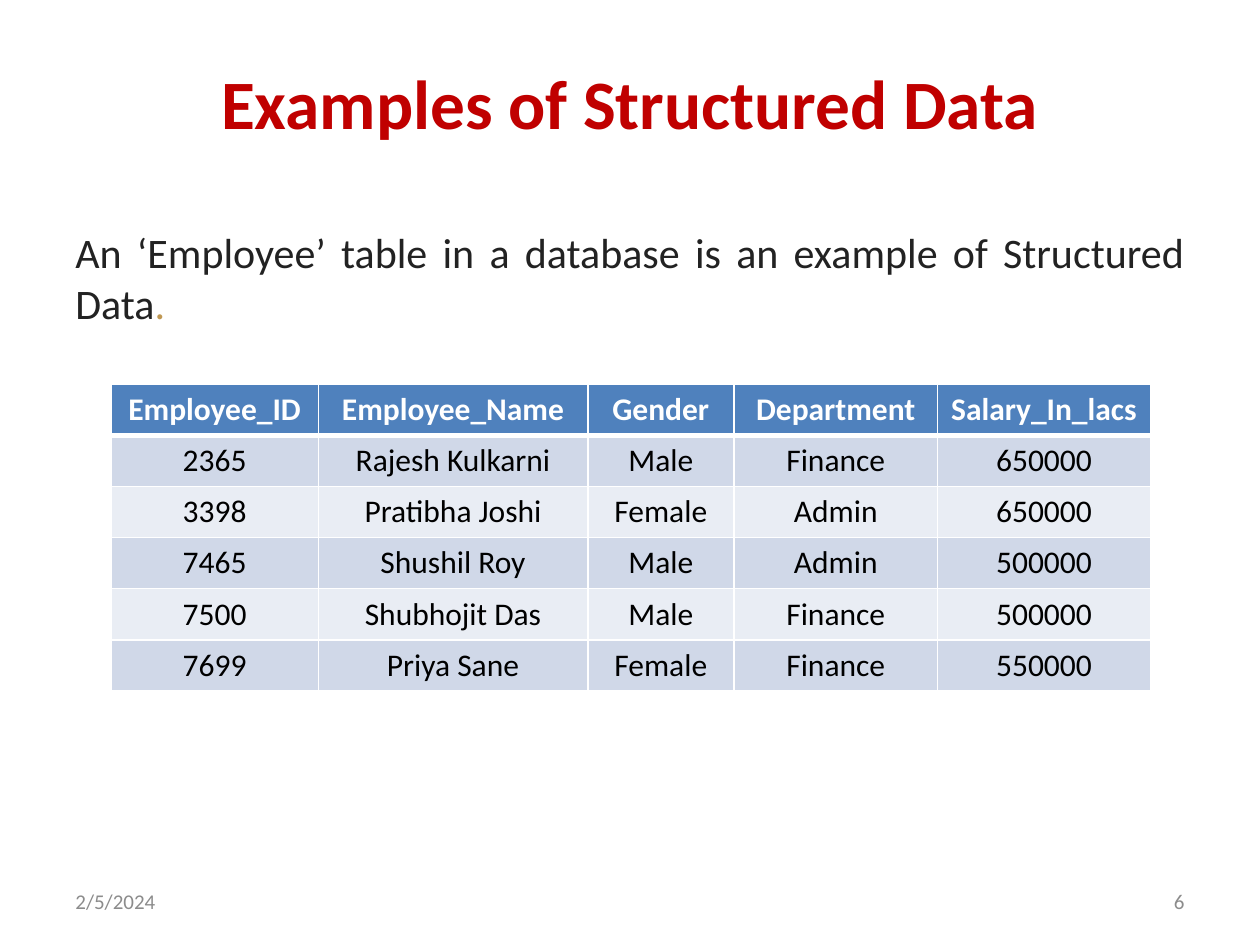
from dataclasses import dataclass

from lxml.etree import SubElement
from pptx import Presentation
from pptx.dml.color import RGBColor
from pptx.enum.text import MSO_ANCHOR as Anchor, PP_ALIGN as Align
from pptx.oxml.ns import qn
from pptx.util import Pt

FONT = "Calibri"
HEADER = ["Employee_ID", "Employee_Name", "Gender", "Department", "Salary_In_lacs"]
EMPLOYEES = [
    ["2365", "Rajesh Kulkarni", "Male", "Finance", "650000"],
    ["3398", "Pratibha Joshi", "Female", "Admin", "650000"],
    ["7465", "Shushil Roy", "Male", "Admin", "500000"],
    ["7500", "Shubhojit Das", "Male", "Finance", "500000"],
    ["7699", "Priya Sane", "Female", "Finance", "550000"],
]
COL_WIDTHS = [118.5, 154, 83.5, 116.5, 121.5]
ROW_HEIGHT = 29.2
BANDS = ["D0D8E8", "E9EDF4"]


@dataclass
class Run:
    text: str
    size: float
    color: str
    bold: bool = False


@dataclass
class Box:
    left: float
    top: float
    width: float
    height: float
    runs: list[Run]
    align: Align = Align.LEFT
    anchor: Anchor = Anchor.MIDDLE


BOXES = [
    Box(36, 13, 648, 90, [Run("Examples of Structured Data", 39.6, "C00000", True)], Align.CENTER),
    Box(36, 126, 648, 356.4, [
        Run("An ‘Employee’ table in a database is an example of Structured Data", 24, "222222"),
        Run(".", 24, "C09853"),
    ], Align.JUSTIFY, Anchor.TOP),
    Box(36, 500.4, 168, 28.8, [Run("2/5/2024", 12, "8C8C8C")]),
    Box(516, 500.4, 168, 28.8, [Run("6", 12, "8C8C8C")], Align.RIGHT),
]


def rgb(value: str) -> RGBColor:
    return RGBColor.from_string(value)


def add_runs(p, runs: list[Run], align: Align) -> None:
    p.alignment = align
    for run in runs:
        r = p.add_run()
        r.text = run.text
        r.font.name = FONT
        r.font.size = Pt(run.size)
        r.font.bold = run.bold
        r.font.color.rgb = rgb(run.color)


def add_box(s, box: Box) -> None:
    sp = s.shapes.add_textbox(Pt(box.left), Pt(box.top), Pt(box.width), Pt(box.height))
    tf = sp.text_frame
    tf.word_wrap = True
    tf.vertical_anchor = box.anchor
    add_runs(tf.paragraphs[0], box.runs, box.align)


def add_border(cell, side: str, width: float, color: str = "FFFFFF") -> None:
    ln = SubElement(cell._tc.get_or_add_tcPr(), qn(f"a:{side}"), w=str(Pt(width)))
    SubElement(SubElement(ln, qn("a:solidFill")), qn("a:srgbClr"), val=color)


def style_cell(cell, run: Run, fill: str, top: float, bottom: float) -> None:
    for side, width in (("lnL", 1), ("lnR", 1), ("lnT", top), ("lnB", bottom)):
        add_border(cell, side, width)
    cell.fill.solid()
    cell.fill.fore_color.rgb = rgb(fill)
    cell.margin_left = cell.margin_right = Pt(3.6)
    cell.vertical_anchor = Anchor.MIDDLE
    add_runs(cell.text_frame.paragraphs[0], [run], Align.CENTER)


def add_employee_table(s, left: float, top: float) -> None:
    rows = [HEADER, *EMPLOYEES]
    tbl = s.shapes.add_table(len(rows), len(HEADER), Pt(left), Pt(top),
                             Pt(sum(COL_WIDTHS)), Pt(ROW_HEIGHT * len(rows))).table
    for col, width in zip(tbl.columns, COL_WIDTHS):
        col.width = Pt(width)
    for i, values in enumerate(rows):
        tbl.rows[i].height = Pt(ROW_HEIGHT)
        is_header = i == 0
        fill = "4F81BD" if is_header else BANDS[(i - 1) % 2]
        color = "FFFFFF" if is_header else "000000"
        for j, text in enumerate(values):
            style_cell(tbl.cell(i, j), Run(text, 18, color, is_header), fill,
                       3 if i == 1 else 1, 3 if is_header else 1)


def main() -> None:
    """Build the structured data slide with its employee table."""
    prs = Presentation()
    prs.slide_width, prs.slide_height = Pt(720), Pt(540)
    s = prs.slides.add_slide(prs.slide_layouts[6])
    for box in BOXES:
        add_box(s, box)
    add_employee_table(s, 63.4, 219.6)
    prs.save("out.pptx")


if __name__ == "__main__":
    main()
